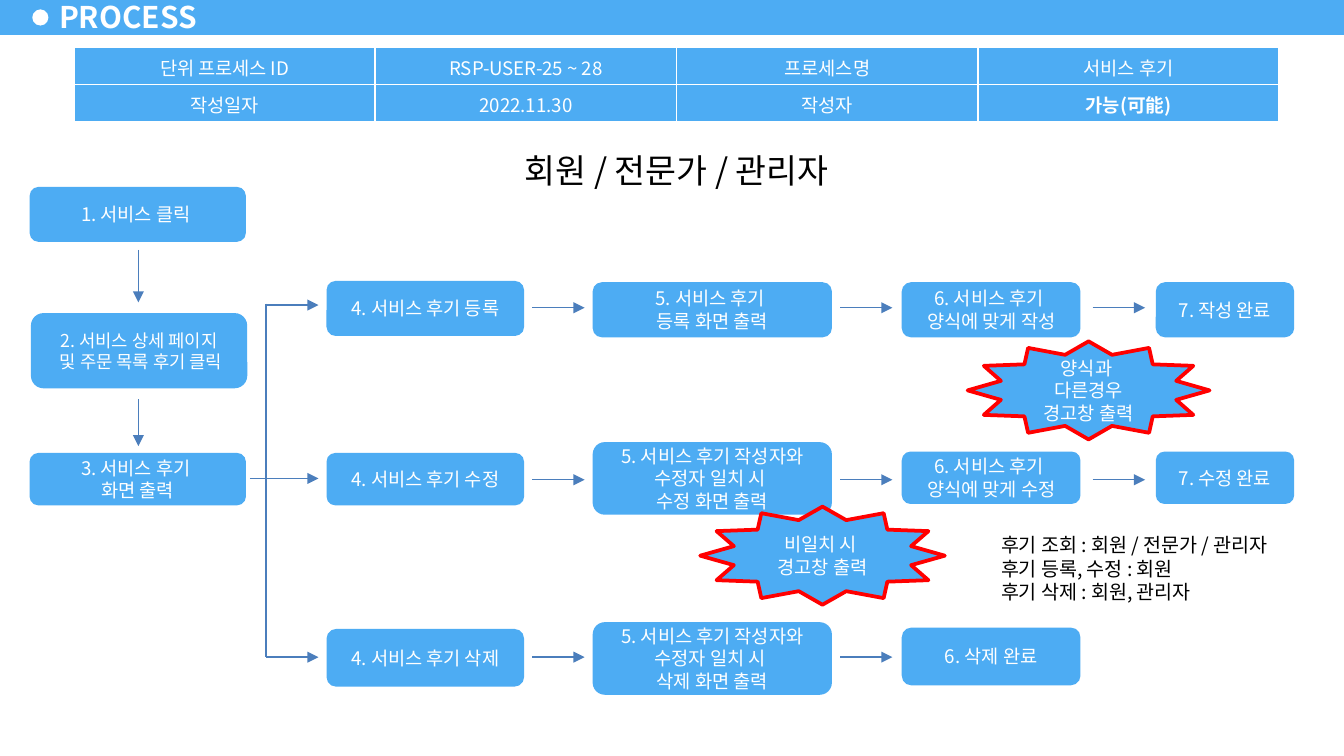
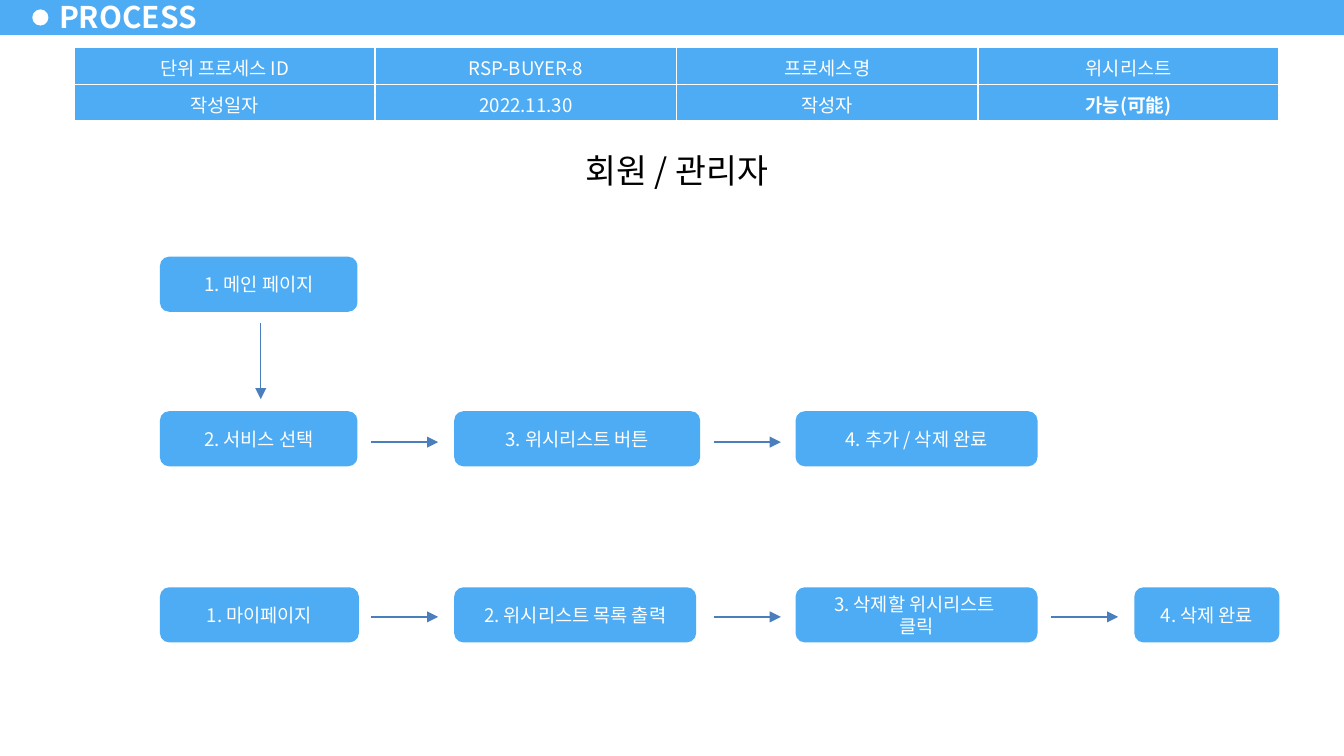
from copy import deepcopy

from pptx import Presentation
from pptx.dml.color import RGBColor
from pptx.enum.shapes import MSO_CONNECTOR, MSO_SHAPE
from pptx.enum.text import MSO_ANCHOR, PP_ALIGN
from pptx.oxml.ns import qn
from pptx.oxml.xmlchemy import OxmlElement
from pptx.util import Inches, Pt

BLUE = RGBColor(0x4D, 0xAC, 0xF3)
ARROW_BLUE = RGBColor(0x4B, 0x7E, 0xBC)
RED = RGBColor(0xFF, 0x00, 0x00)
WHITE = RGBColor(0xFF, 0xFF, 0xFF)
BLACK = RGBColor(0x00, 0x00, 0x00)
FONT = "Noto Sans CJK KR"

REVIEW_COLUMNS = [(2.43, 1.47), (4.41, 1.78), (6.71, 1.33), (8.6, 1.03)]
REVIEW_ROWS = [
    (2.29, [(2.09, 0.41), (2.1, 0.41), (2.1, 0.41), (2.1, 0.41)],
     ["4. 서비스 후기 등록", "5. 서비스 후기 \v등록 화면 출력",
      "6. 서비스 후기 \v양식에 맞게 작성", "7. 작성 완료"]),
    (3.57, [(3.37, 0.39), (3.29, 0.54), (3.36, 0.39), (3.36, 0.39)],
     ["4. 서비스 후기 수정", "5. 서비스 후기 작성자와\v수정자 일치 시 \n수정 화면 출력",
      "6. 서비스 후기 \v양식에 맞게 수정", "7. 수정 완료"]),
    (4.89, [(4.68, 0.43), (4.63, 0.54), (4.67, 0.43)],
     ["4. 서비스 후기 삭제", "5. 서비스 후기 작성자와\v수정자 일치 시 \n삭제 화면 출력",
      "6. 삭제 완료"]),
]
review_boxes = [
    (0.22, 1.39, 1.61, 0.41, "1. 서비스 클릭 ", 10),
    (0.23, 2.33, 1.61, 0.56, "2. 서비스 상세 페이지\n 및 주문 목록 후기 클릭", 9.5),
    (0.22, 3.37, 1.61, 0.39, "3. 서비스 후기 \n화면 출력", 10),
]
review_arrows = [
    (1.03, 1.86, 1.03, 2.25), (1.03, 2.97, 1.03, 3.32),
    (1.98, 2.27, 2.37, 2.27), (1.86, 3.56, 2.37, 3.56), (1.98, 4.89, 2.37, 4.89),
]
for arrow_y, spans, labels in REVIEW_ROWS:
    for (left, width), (top, height), label in zip(REVIEW_COLUMNS, spans, labels):
        review_boxes.append((left, top, width, height, label, 10))
    for arrow_x in [3.96, 6.25, 8.13][:len(labels) - 1]:
        review_arrows.append((arrow_x, arrow_y, arrow_x + 0.39, arrow_y))
review_arrows.sort()

WISH_COLUMNS = [1.19, 3.38, 5.92, 8.44]
WISH_ROWS = [
    (1.91, [(1.47, "1. 메인 페이지")]),
    (3.06, [(1.47, "2. 서비스 선택"), (1.83, "3. 위시리스트 버튼"), (1.8, "4. 추가 / 삭제 완료")]),
    (4.37, [(1.48, "1. 마이페이지"), (1.8, "2. 위시리스트 목록 출력"),
            (1.8, "3. 삭제할 위시리스트 \n클릭"), (1.08, "4. 삭제 완료")]),
]
wish_boxes = [
    (left, top, width, 0.41, label, 10)
    for top, boxes in WISH_ROWS
    for left, (width, label) in zip(WISH_COLUMNS, boxes)
]
wish_arrows = [(1.94, 2.4, 1.94, 2.97)]
for arrow_y, arrow_starts in [(3.29, [2.76, 5.31]), (4.59, [2.76, 5.31, 7.82])]:
    for arrow_x in arrow_starts:
        wish_arrows.append((arrow_x, arrow_y, arrow_x + 0.5, arrow_y))

PROCESSES = [
    {
        "id": "RSP-USER-25 ~ 28", "name": "서비스 후기", "users": "회원 / 전문가 / 관리자",
        "row_heights": [0.28, 0.28], "boxes": review_boxes, "arrows": review_arrows,
        "trunks": [(1.98, 2.26, 1.98, 4.89)],
        "warnings": [(7.2, 2.54, 1.8, 0.73, "양식과 \n다른경우\v경고창 출력"),
                     (5.21, 3.77, 1.82, 0.73, "비일치 시 \v경고창 출력")],
        "notes": [(7.35, 3.92, 2.48, 0.63,
                   "후기 조회 : 회원 / 전문가 / 관리자\v후기 등록, 수정 : 회원 \v후기 삭제 : 회원, 관리자")],
    },
    {
        "id": "RSP-BUYER-8", "name": "위시리스트", "users": "회원 / 관리자",
        "row_heights": [0.28, 0.25], "boxes": wish_boxes, "arrows": wish_arrows,
        "trunks": [], "warnings": [], "notes": [],
    },
]


def add_shape(slide, kind, left, top, width, height, fill):
    shape = slide.shapes.add_shape(
        kind, Inches(left), Inches(top), Inches(width), Inches(height))
    shape.shadow.inherit = False
    shape.fill.solid()
    shape.fill.fore_color.rgb = fill
    shape.line.fill.background()
    return shape


def write_text(text_frame, text, size, color, align=PP_ALIGN.CENTER,
               anchor=MSO_ANCHOR.MIDDLE, bold=False):
    text_frame.text = text
    text_frame.word_wrap = True
    text_frame.vertical_anchor = anchor
    for paragraph in text_frame.paragraphs:
        paragraph.alignment = align
        for run in paragraph.runs:
            run.font.name = FONT
            run.font.size = Pt(size)
            run.font.bold = bold
            run.font.color.rgb = color
            east_asian = OxmlElement("a:ea")
            east_asian.set("typeface", FONT)
            run.font._element.find(qn("a:latin")).addnext(east_asian)
        for line_break in paragraph._p.findall(qn("a:br")):
            line_break.append(deepcopy(paragraph.runs[0].font._element))


presentation = Presentation()
presentation.slide_width = Inches(10)
presentation.slide_height = Inches(10) * 9 // 16

for process in PROCESSES:
    slide = presentation.slides.add_slide(presentation.slide_layouts[6])
    add_shape(slide, MSO_SHAPE.RECTANGLE, 0, -0.02, 10, 0.28, BLUE)
    add_shape(slide, MSO_SHAPE.OVAL, 0.24, 0.07, 0.12, 0.12, WHITE)
    title = slide.shapes.add_textbox(Inches(0.35), Inches(-0.04), Inches(1.22), Inches(0.32))
    write_text(title.text_frame, "PROCESS", 16, WHITE, PP_ALIGN.LEFT, bold=True)
    title.text_frame.word_wrap = False
    title.text_frame.margin_left = title.text_frame.margin_right = Inches(0.09)
    title.text_frame.margin_top = title.text_frame.margin_bottom = Inches(0.04)

    users = add_shape(slide, MSO_SHAPE.RECTANGLE, 3.25, 1.07, 3.57, 0.4, WHITE)
    write_text(users.text_frame, process["users"], 18, BLACK, anchor=MSO_ANCHOR.TOP)

    table = slide.shapes.add_table(
        2, 4, Inches(0.55), Inches(0.35), Inches(8.97), Inches(0.56)).table
    table.first_row = False
    table.horz_banding = False
    header = [
        ["단위 프로세스 ID", process["id"], "프로세스명", process["name"]],
        ["작성일자", "2022.11.30", "작성자", "가능(可能)"],
    ]
    for row, height, texts in zip(table.rows, process["row_heights"], header):
        row.height = Inches(height)
        for cell, text in zip(row.cells, texts):
            cell.fill.solid()
            cell.fill.fore_color.rgb = BLUE
            cell.vertical_anchor = MSO_ANCHOR.MIDDLE
            write_text(cell.text_frame, text, 10, WHITE, bold=text == "가능(可能)")

    for left, top, width, height, label, size in process["boxes"]:
        box = add_shape(slide, MSO_SHAPE.ROUNDED_RECTANGLE, left, top, width, height, BLUE)
        write_text(box.text_frame, label, size, WHITE)

    for left, top, width, height, label in process["warnings"]:
        warning = add_shape(slide, MSO_SHAPE.STAR_12_POINT, left, top, width, height, BLUE)
        warning.line.color.rgb = RED
        warning.line.width = Pt(2)
        write_text(warning.text_frame, label, 10, WHITE)

    for left, top, width, height, text in process["notes"]:
        note = add_shape(slide, MSO_SHAPE.RECTANGLE, left, top, width, height, WHITE)
        write_text(note.text_frame, text, 10.5, BLACK, PP_ALIGN.LEFT, MSO_ANCHOR.TOP)

    for ends in process["trunks"] + process["arrows"]:
        connector = slide.shapes.add_connector(
            MSO_CONNECTOR.STRAIGHT, *[Inches(value) for value in ends])
        connector.line.color.rgb = ARROW_BLUE
        connector.line.width = Pt(0.75)
        connector._element.spPr.append(OxmlElement("a:effectLst"))
        if ends in process["arrows"]:
            tail = OxmlElement("a:tailEnd")
            tail.set("type", "triangle")
            connector.line._get_or_add_ln().append(tail)

presentation.save("out.pptx")
